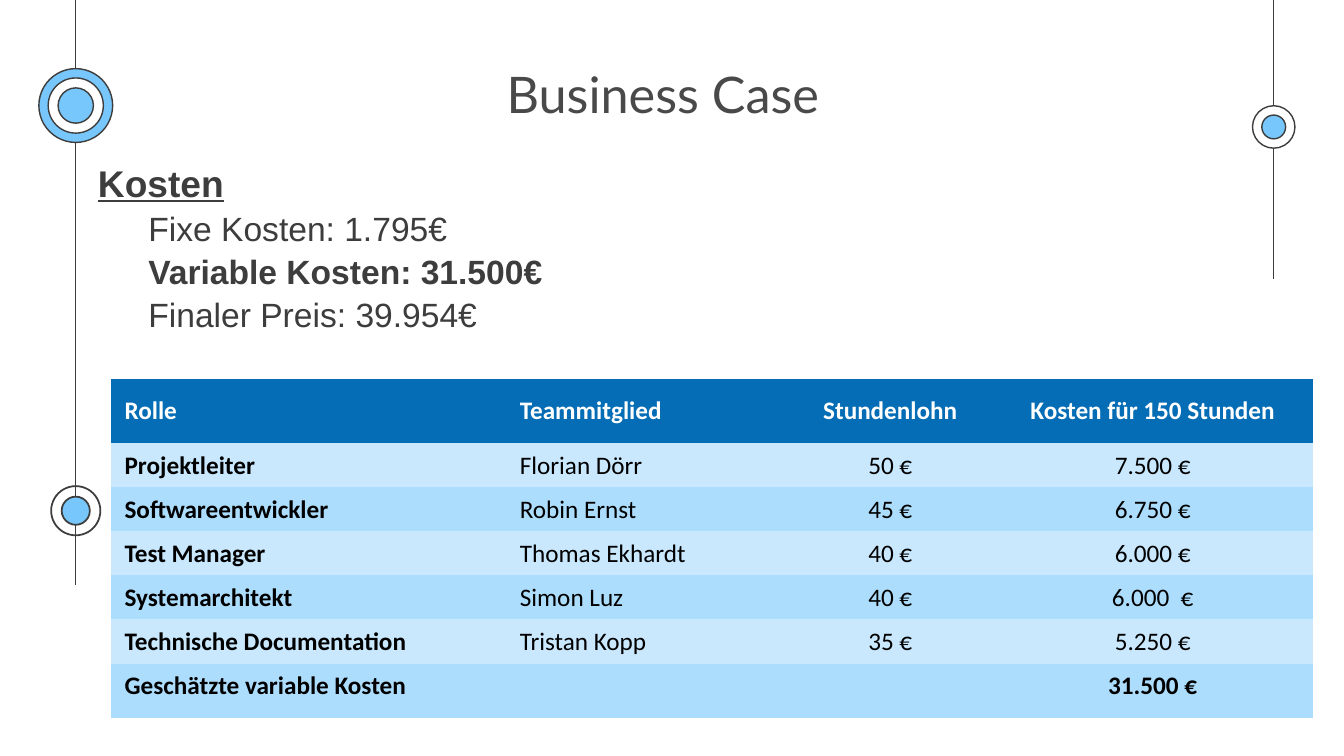
"""Build the business case slide with its cost summary and staffing table."""
from typing import NamedTuple

from lxml import etree
from pptx import Presentation
from pptx import util as u
from pptx.dml.color import RGBColor
from pptx.enum import shapes, text
from pptx.oxml import ns
from pptx.slide import Slide

INK = RGBColor(0x3D, 0x3D, 0x3D)
TITLE = RGBColor(0x49, 0x49, 0x49)
SKY = RGBColor(0x77, 0xC6, 0xFC)
WHITE = RGBColor(0xFF, 0xFF, 0xFF)
BLACK = RGBColor(0x00, 0x00, 0x00)
HEADER = RGBColor(0x04, 0x6D, 0xB5)
BANDS = (RGBColor(0xC9, 0xE8, 0xFE), RGBColor(0xAD, 0xDD, 0xFD))
PLAIN_TABLE = "{2D5ABB26-0587-4C30-8999-92F81FD0307C}"
INSET_X, INSET_Y = u.Cm(0.34), u.Cm(0.17)
LEFT_X, RIGHT_X = 1.91, 32.1


class Rail(NamedTuple):
    x: float
    length: float


class Ring(NamedTuple):
    x: float
    y: float
    diameter: float
    fill: RGBColor | None
    width: float = 1


class Line(NamedTuple):
    text: str
    size: float
    bold: bool = False
    heading: bool = False


RAILS = (Rail(LEFT_X, 14.73), Rail(RIGHT_X, 7.04))
RINGS = (
    Ring(LEFT_X, 12.87, 1.24, None, 1.25),
    Ring(LEFT_X, 12.87, 0.71, SKY, 1.25),
    Ring(RIGHT_X, 3.2, 1.07, WHITE),
    Ring(RIGHT_X, 3.2, 0.6, SKY),
    Ring(LEFT_X, 2.66, 1.86, SKY),
    Ring(LEFT_X, 2.66, 1.39, WHITE),
    Ring(LEFT_X, 2.66, 0.89, SKY),
)
COSTS = (
    Line("Kosten", 26.5, bold=True, heading=True),
    Line("Fixe Kosten: 1.795€", 24),
    Line("Variable Kosten: 31.500€", 24, bold=True),
    Line("Finaler Preis: 39.954€", 24),
)
COLUMNS = (9.96, 7.11, 5.13, 8.1)
ROWS = (
    ("Rolle", "Teammitglied", "Stundenlohn", "Kosten für 150 Stunden"),
    ("Projektleiter", "Florian Dörr", "50 €", "7.500 €"),
    ("Softwareentwickler", "Robin Ernst", "45 €", "6.750 €"),
    ("Test Manager", "Thomas Ekhardt", "40 €", "6.000 €"),
    ("Systemarchitekt", "Simon Luz", "40 €", "6.000  €"),
    ("Technische Documentation", "Tristan Kopp", "35 €", "5.250 €"),
    ("Geschätzte variable Kosten", "", "", "31.500 €"),
)
HEADER_HEIGHT, ROW_HEIGHT, TOTAL_HEIGHT = 1.62, 1.11, 1.36


def add_rail(s: Slide, rail: Rail) -> None:
    x = u.Cm(rail.x)
    line = s.shapes.add_connector(shapes.MSO_CONNECTOR.STRAIGHT, x, 0, x, u.Cm(rail.length))
    line.line.color.rgb = INK
    line.line.width = u.Pt(0.75)
    etree.SubElement(line._element.spPr, ns.qn("a:effectLst"))


def add_ring(s: Slide, ring: Ring) -> None:
    d = u.Cm(ring.diameter)
    left, top = u.Cm(ring.x - ring.diameter / 2), u.Cm(ring.y - ring.diameter / 2)
    sp = s.shapes.add_shape(shapes.MSO_SHAPE.OVAL, left, top, d, d)
    sp.shadow.inherit = False
    sp.line.color.rgb = INK
    sp.line.width = u.Pt(ring.width)
    if ring.fill is None:
        sp.fill.background()
    else:
        sp.fill.solid()
        sp.fill.fore_color.rgb = ring.fill


def add_title(s: Slide) -> None:
    tf = s.shapes.add_textbox(u.Cm(6.38), u.Cm(1.24), u.Cm(20.65), u.Cm(2.21)).text_frame
    tf.word_wrap = True
    tf.vertical_anchor = text.MSO_ANCHOR.MIDDLE
    p = tf.paragraphs[0]
    p.text = "Business Case"
    p.alignment = text.PP_ALIGN.CENTER
    p.font.name, p.font.size = "Lato", u.Pt(36)
    p.font.color.rgb = TITLE


def add_costs(s: Slide) -> None:
    tf = s.shapes.add_textbox(u.Cm(2.13), u.Cm(3.99), u.Cm(13.82), u.Cm(5.89)).text_frame
    tf.word_wrap = True
    tf.margin_left = tf.margin_right = INSET_X
    tf.margin_top = tf.margin_bottom = INSET_Y
    for i, line in enumerate(COSTS):
        p = tf.add_paragraph() if i else tf.paragraphs[0]
        p.text = line.text
        p.line_spacing = 0.9
        p.space_before = u.Pt(10 if line.heading else 5)
        p.font.name, p.font.size = "Arial", u.Pt(line.size)
        p.font.bold, p.font.underline = line.bold, line.heading
        p.font.color.rgb = INK
        if not line.heading:
            p.level = 1
            pPr = p._p.get_or_add_pPr()
            pPr.set("marL", str(u.Cm(1.27)))
            pPr.set("indent", "0")


def add_table(s: Slide) -> None:
    last = len(ROWS) - 1
    heights = [HEADER_HEIGHT] + [ROW_HEIGHT] * (last - 1) + [TOTAL_HEIGHT]
    frame = s.shapes.add_table(len(ROWS), len(COLUMNS), u.Cm(2.8), u.Cm(9.55),
                               u.Cm(sum(COLUMNS)), u.Cm(sum(heights)))
    table = frame.table
    table._tbl.tblPr.find(ns.qn("a:tableStyleId")).text = PLAIN_TABLE
    for column, width in zip(table.columns, COLUMNS):
        column.width = u.Cm(width)
    for i, values in enumerate(ROWS):
        table.rows[i].height = u.Cm(heights[i])
        for j, value in enumerate(values):
            cell = table.cell(i, j)
            cell.fill.solid()
            cell.fill.fore_color.rgb = BANDS[(i - 1) % 2] if i else HEADER
            cell.margin_left = cell.margin_right = INSET_X
            cell.margin_top = cell.margin_bottom = INSET_Y
            cell.vertical_anchor = text.MSO_ANCHOR.TOP if i else text.MSO_ANCHOR.MIDDLE
            p = cell.text_frame.paragraphs[0]
            p.text = value
            p.alignment = text.PP_ALIGN.CENTER if j > 1 else text.PP_ALIGN.LEFT
            p.font.name, p.font.size = "Calibri", u.Pt(18)
            p.font.bold = i in (0, last) or j == 0
            p.font.color.rgb = BLACK if i else WHITE


def main() -> None:
    prs = Presentation()
    prs.slide_width, prs.slide_height = u.Cm(33.87), u.Cm(19.05)
    s = prs.slides.add_slide(prs.slide_layouts[6])
    for rail in RAILS:
        add_rail(s, rail)
    for ring in RINGS:
        add_ring(s, ring)
    add_title(s)
    add_costs(s)
    add_table(s)
    prs.save("out.pptx")


if __name__ == "__main__":
    main()
